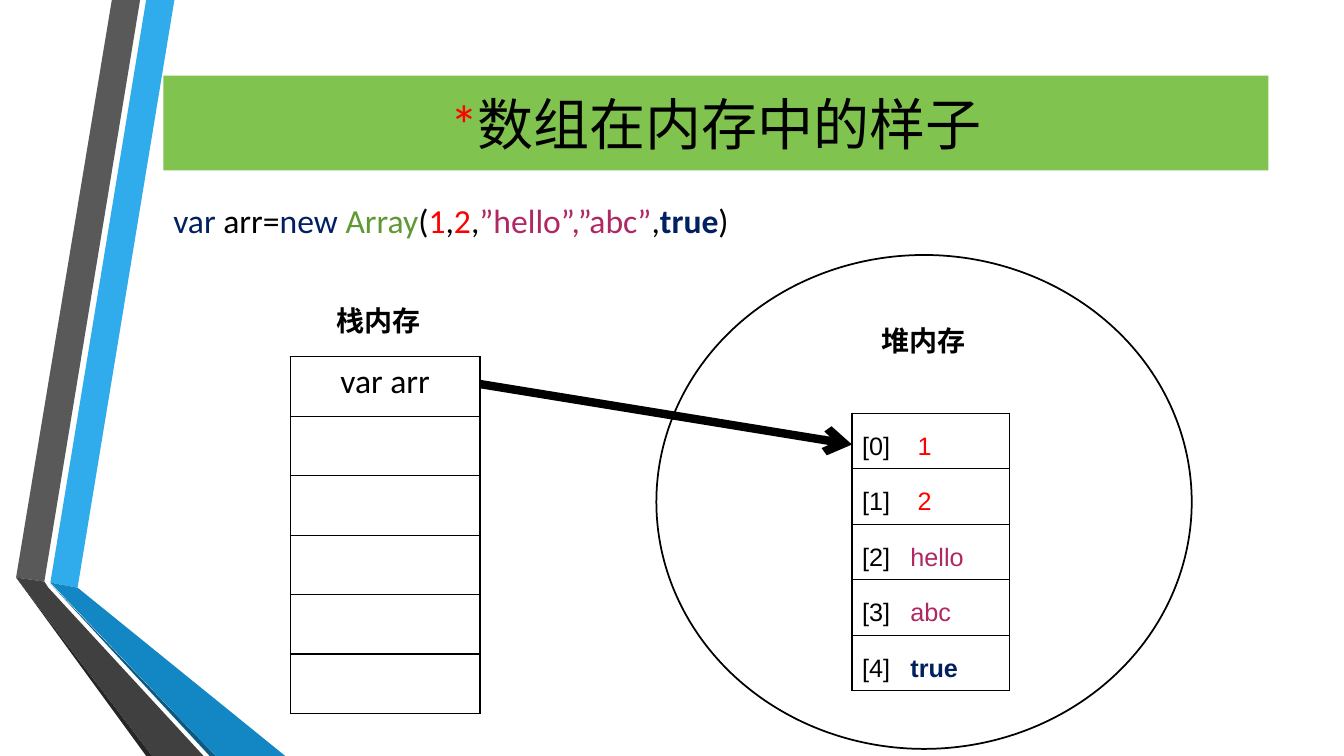
from lxml.etree import SubElement
from pptx import Presentation
from pptx.dml.color import RGBColor
from pptx.enum.shapes import MSO_CONNECTOR, MSO_SHAPE
from pptx.enum.text import MSO_ANCHOR, MSO_AUTO_SIZE, PP_ALIGN
from pptx.oxml.ns import qn
from pptx.util import Emu, Pt

PX = 9144  # EMU in one px, 100 px to the inch

COLORS = {
    "black": "000000", "red": "FF0000", "navy": "002060", "green": "5F9934",
    "plum": "AF2764", "banner": "80C34F",
    "sky": "30ACEC", "blue": "1287C3", "deep_blue": "0C5A82",
    "gray": "595959", "dark_gray": "404040", "charcoal": "262626",
}

RIBBONS = [
    ("sky", [(50, 578), (77, 583), (173, 0), (145, 0)]),
    ("gray", [(139, 0), (111, 0), (16, 573), (44, 577)]),
    ("charcoal", [(16, 573), (145, 750), (151, 750)]),
    ("deep_blue", [(50, 579), (208, 750), (214, 750)]),
    ("blue", [(50, 578), (214, 750), (283, 750), (77, 583)]),
    ("dark_gray", [(202, 750), (48, 583), (44, 577), (16, 573), (151, 750)]),
]

CODE = [
    ("var ", "navy"), ("arr=", "black"), ("new ", "navy"), ("Array", "green"),
    ("(", "black"), ("1", "red"), (",", "black"), ("2", "red"), (",", "black"),
    ("”hello”,”abc”", "plum"), (",", "black"), ("true", "navy"), (")", "black"),
]

# value, colour, tab stop in px
HEAP_VALUES = [
    ("1", "red", 55), ("2", "red", 55), ("hello", "plum", 48),
    ("abc", "plum", 48), ("true", "navy", 48),
]


def px(*lengths):
    return [Emu(length * PX) for length in lengths]


def rgb(name):
    return RGBColor.from_string(COLORS[name])


def write_runs(paragraph, runs, size, font_name):
    """Fill a paragraph with (text, colour) runs; the keyword true is bold."""
    paragraph.font.size = Pt(size)
    paragraph.font.name = font_name
    for text, color in runs:
        run = paragraph.add_run()
        run.text = text
        run.font.color.rgb = rgb(color)
        if text == "true":
            run.font.bold = True


def add_ribbon(slide, color, points):
    builder = slide.shapes.build_freeform(*points[0], scale=PX)
    builder.add_line_segments(points[1:], close=True)
    shape = builder.convert_to_shape()
    shape.shadow.inherit = False
    shape.fill.solid()
    shape.fill.fore_color.rgb = rgb(color)
    shape.line.fill.background()


def add_title(slide):
    title = slide.shapes.title
    title.left, title.top, title.width, title.height = px(162, 75, 1096, 94)
    title.fill.solid()
    title.fill.fore_color.rgb = rgb("banner")
    title.text_frame.vertical_anchor = MSO_ANCHOR.MIDDLE
    paragraph = title.text_frame.paragraphs[0]
    paragraph.alignment = PP_ALIGN.CENTER
    write_runs(paragraph, [("*", "red"), ("数组在内存中的样子", "black")], 40, "Calibri")


def add_text(slide, box, runs, size, font_name):
    frame = slide.shapes.add_textbox(*px(*box)).text_frame
    frame.word_wrap = False
    frame.auto_size = MSO_AUTO_SIZE.SHAPE_TO_FIT_TEXT
    paragraph = frame.paragraphs[0]
    write_runs(paragraph, runs, size, font_name)
    return paragraph


def add_memory_label(slide, left, top, text):
    font_name = "Noto Sans CJK SC"
    paragraph = add_text(slide, (left, top, 104, 44), [(text, "black")], 20, font_name)
    paragraph.font.bold = True
    defaults = paragraph._p.pPr.find(qn("a:defRPr"))
    SubElement(defaults, qn("a:ea"), typeface=font_name)


def add_border(cell):
    properties = cell._tc.get_or_add_tcPr()
    for index, side in enumerate(("lnL", "lnR", "lnT", "lnB")):
        line = properties.makeelement(qn(f"a:{side}"), {"w": str(Pt(1))})
        fill = SubElement(line, qn("a:solidFill"))
        SubElement(fill, qn("a:srgbClr"), val=COLORS["black"])
        properties.insert(index, line)


def add_memory_table(slide, left, top, width, row_height, row_count):
    """Add a one-column bordered table and return its cells."""
    box = px(left, top, width, row_height * row_count)
    table = slide.shapes.add_table(row_count, 1, *box).table
    table.first_row = False
    table.horz_banding = False
    cells = [table.cell(row, 0) for row in range(row_count)]
    for cell in cells:
        cell.fill.background()
        add_border(cell)
    return cells


def add_stack(slide):
    cells = add_memory_table(slide, 288, 354, 188, 59, 6)
    paragraph = cells[0].text_frame.paragraphs[0]
    paragraph.alignment = PP_ALIGN.CENTER
    write_runs(paragraph, [("var arr", "black")], 24, "Calibri")


def add_heap(slide):
    cells = add_memory_table(slide, 845, 410, 156, 55, len(HEAP_VALUES))
    for index, (cell, (value, color, tab)) in enumerate(zip(cells, HEAP_VALUES)):
        paragraph = cell.text_frame.paragraphs[0]
        tabs = SubElement(paragraph._p.get_or_add_pPr(), qn("a:tabLst"))
        SubElement(tabs, qn("a:tab"), pos=str(tab * PX), algn="l")
        paragraph.line_spacing = 1.5
        write_runs(paragraph, [(f"[{index}]\t", "black"), (value, color)], 18, "Arial")


def add_arrow(slide, start, end):
    arrow = slide.shapes.add_connector(MSO_CONNECTOR.STRAIGHT, *px(*start, *end))
    arrow.line.color.rgb = rgb("black")
    arrow.line.width = Pt(6)
    SubElement(arrow.line._get_or_add_ln(), qn("a:tailEnd"), type="arrow")
    SubElement(arrow._element.spPr, qn("a:effectLst"))


def add_heap_outline(slide):
    ellipse = slide.shapes.add_shape(MSO_SHAPE.OVAL, *px(651, 253, 531, 490))
    ellipse.shadow.inherit = False
    ellipse.fill.background()
    ellipse.line.color.rgb = rgb("black")
    ellipse.line.width = Pt(1.25)


def main():
    presentation = Presentation()
    presentation.slide_width, presentation.slide_height = px(1333, 750)
    slide = presentation.slides.add_slide(presentation.slide_layouts[5])
    for color, points in RIBBONS:
        add_ribbon(slide, color, points)
    add_title(slide)
    add_stack(slide)
    add_text(slide, (162, 193, 585, 50), CODE, 24, "Calibri")
    add_memory_label(slide, 324, 296, "栈内存")
    add_arrow(slide, (476, 381), (845, 441))
    add_heap_outline(slide)
    add_heap(slide)
    add_memory_label(slide, 864, 316, "堆内存")
    presentation.save("out.pptx")


if __name__ == "__main__":
    main()
